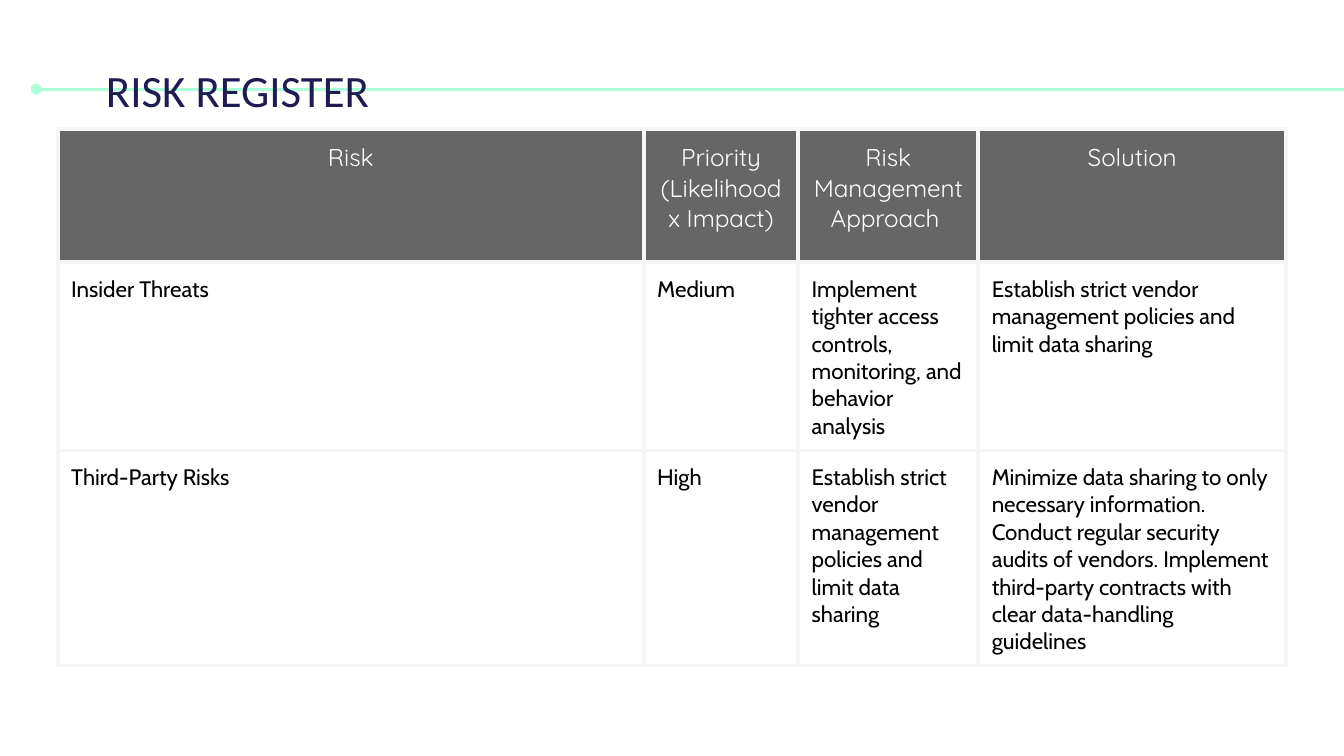
from dataclasses import dataclass

from lxml import etree
from pptx import Presentation
from pptx.dml.color import RGBColor
from pptx.enum import shapes, text
from pptx.oxml import ns
from pptx.util import Inches, Pt


@dataclass(frozen=True)
class Theme:
    title_font: str = "Calibri"
    header_font: str = "Quicksand"
    body_font: str = "Cabin"
    title_size: float = 24
    header_size: float = 13
    body_size: float = 12
    navy: str = "1F1C51"
    mint: str = "ACFFD9"
    gray: str = "666666"
    border: str = "F6F6F4"
    white: str = "FFFFFF"
    black: str = "000000"
    rule_width: float = 1.5
    border_width: float = 2.25
    inset: float = 0.1


THEME = Theme()
WIDTH = Inches(10)
HEIGHT = WIDTH * 9 // 16
COLUMN_SHARES = (4.36, 1.15, 1.34, 2.29)
ROW_SHARES = (0.99, 0.43, 1.14)
RISKS = (
    ("Risk", "Priority (Likelihood x Impact)", "Risk Management Approach ", "Solution"),
    (
        "Insider Threats",
        "Medium",
        "Implement tighter access controls, monitoring, and behavior analysis",
        "Establish strict vendor management policies and limit data sharing",
    ),
    (
        "Third-Party Risks",
        "High",
        "Establish strict vendor management policies and limit data sharing",
        "Minimize data sharing to only necessary information. Conduct regular "
        "security audits of vendors. Implement third-party contracts with clear "
        "data-handling guidelines",
    ),
)


def percent_box(left, top, width, height):
    return (
        int(left * WIDTH / 100),
        int(top * HEIGHT / 100),
        int(width * WIDTH / 100),
        int(height * HEIGHT / 100),
    )


def style_paragraph(paragraph, font_name, size, color):
    font = paragraph.font
    font.name = font_name
    font.size = Pt(size)
    font.color.rgb = RGBColor.from_string(color)


def set_margins(target):
    for side in ("left", "top", "right", "bottom"):
        setattr(target, f"margin_{side}", Inches(THEME.inset))


def add_rule(slide, box):
    left, top, width, height = box
    rule = slide.shapes.add_connector(
        shapes.MSO_CONNECTOR.STRAIGHT, left, top, left + width, top + height
    )
    rule.line.color.rgb = RGBColor.from_string(THEME.mint)
    rule.line.width = Pt(THEME.rule_width)
    line = rule.line._get_or_add_ln()
    etree.SubElement(line, ns.qn("a:headEnd"), type="oval", w="med", len="med")
    etree.SubElement(rule._element.spPr, ns.qn("a:effectLst"))


def add_title(slide, box):
    frame = slide.shapes.add_textbox(*box).text_frame
    frame.word_wrap = True
    set_margins(frame)
    paragraph = frame.paragraphs[0]
    paragraph.text = "RISK REGISTER"
    style_paragraph(paragraph, THEME.title_font, THEME.title_size, THEME.navy)


def add_borders(cell):
    properties = cell._tc.get_or_add_tcPr()
    for index, side in enumerate(("lnL", "lnR", "lnT", "lnB")):
        border = etree.Element(ns.qn(f"a:{side}"), w=str(int(Pt(THEME.border_width))))
        fill = etree.SubElement(border, ns.qn("a:solidFill"))
        etree.SubElement(fill, ns.qn("a:srgbClr"), val=THEME.border)
        properties.insert(index, border)


def fill_cell(cell, wording, is_header):
    cell.fill.solid()
    fill_color = THEME.gray if is_header else THEME.white
    cell.fill.fore_color.rgb = RGBColor.from_string(fill_color)
    set_margins(cell)
    add_borders(cell)
    paragraph = cell.text_frame.paragraphs[0]
    paragraph.text = wording
    if is_header:
        paragraph.alignment = text.PP_ALIGN.CENTER
        style_paragraph(paragraph, THEME.header_font, THEME.header_size, THEME.white)
    else:
        style_paragraph(paragraph, THEME.body_font, THEME.body_size, THEME.black)


def add_risk_table(slide, box):
    width, height = box[2:]
    table = slide.shapes.add_table(len(RISKS), len(COLUMN_SHARES), *box).table
    table.horz_banding = False
    for column, share in zip(table.columns, COLUMN_SHARES):
        column.width = int(width * share / sum(COLUMN_SHARES))
    for row, share in zip(table.rows, ROW_SHARES):
        row.height = int(height * share / sum(ROW_SHARES))
    for row_index, risk in enumerate(RISKS):
        for column_index, wording in enumerate(risk):
            fill_cell(table.cell(row_index, column_index), wording, row_index == 0)


def main():
    presentation = Presentation()
    presentation.slide_width = WIDTH
    presentation.slide_height = HEIGHT
    slide = presentation.slides.add_slide(presentation.slide_layouts[6])
    add_rule(slide, percent_box(2.7, 11.8, 98.3, 0))
    add_title(slide, percent_box(6.9, 6.5, 66.5, 10.5))
    add_risk_table(slide, percent_box(4.3, 17.1, 91.4, 45.5))
    presentation.save("out.pptx")


if __name__ == "__main__":
    main()
